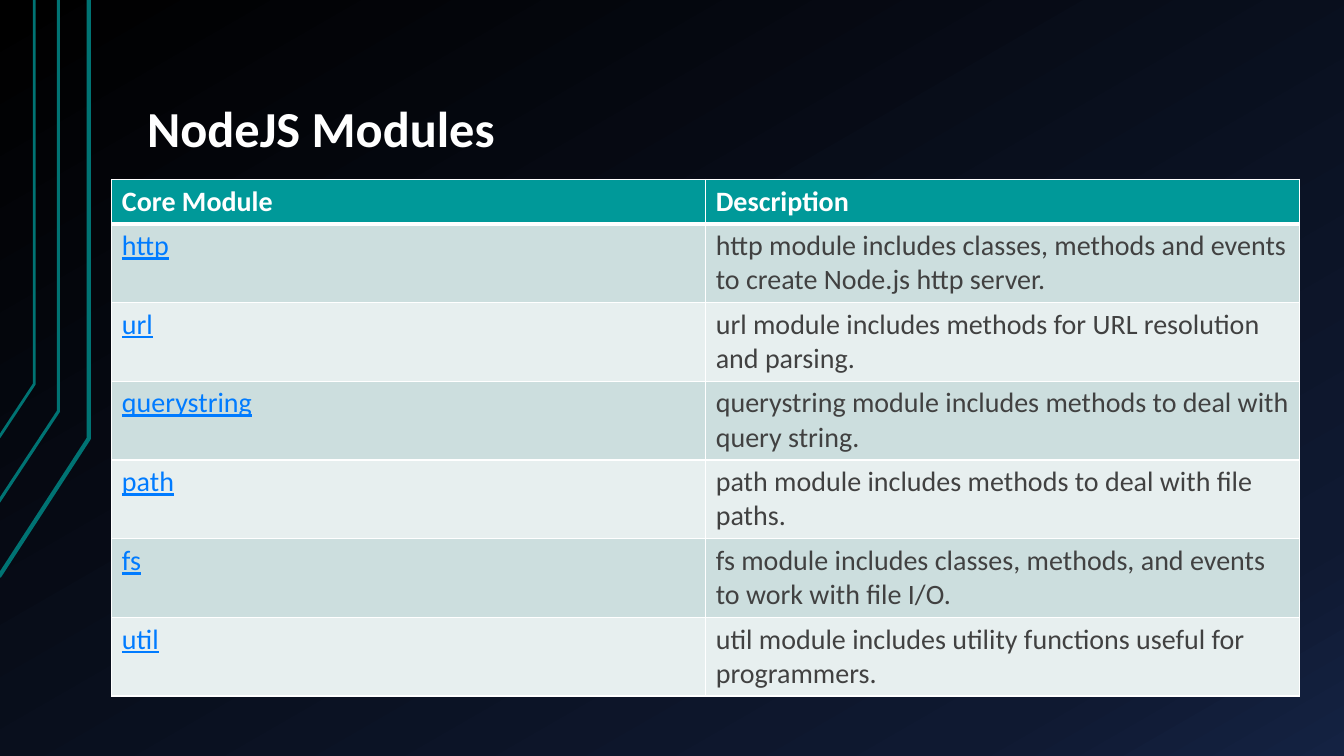
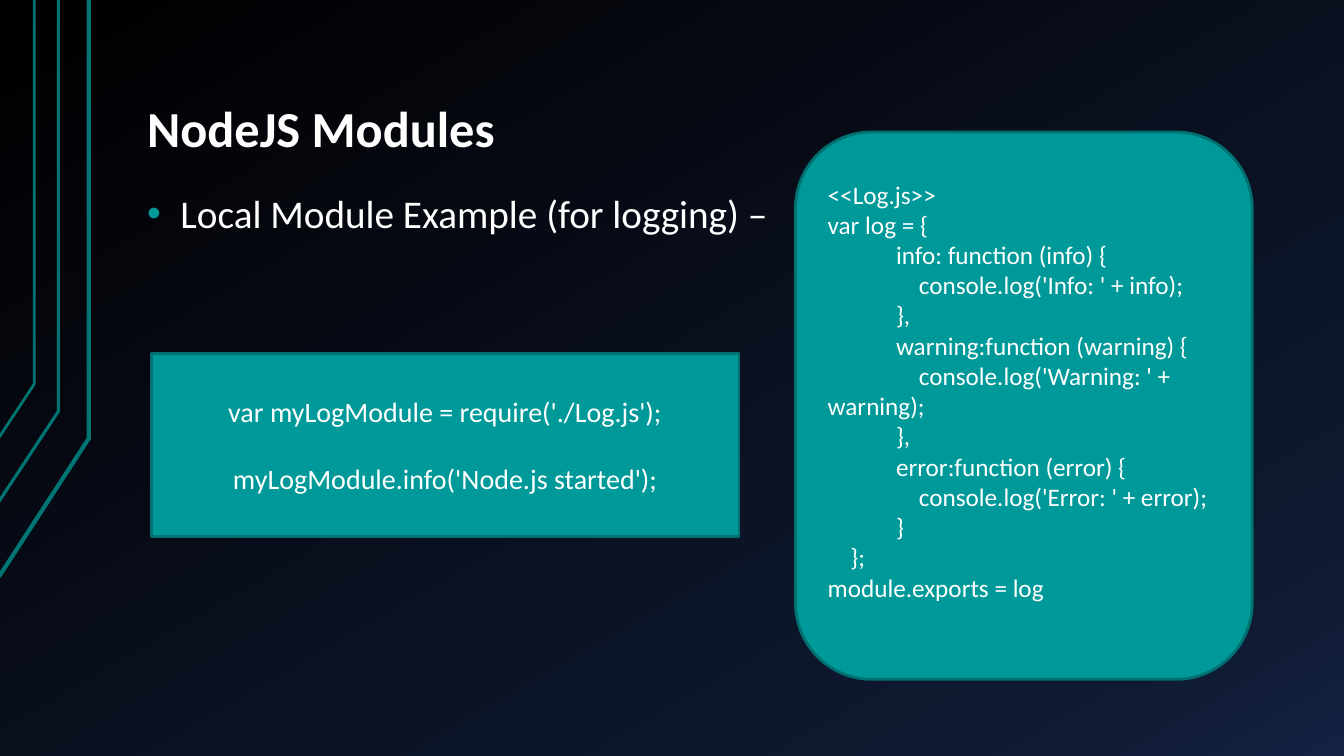
import copy
import pptx
import pptx.util
import pptx.dml.color
import pptx.enum.shapes
import pptx.enum.text
import pptx.oxml.ns
import lxml.etree

Inches, Pt = pptx.util.Inches, pptx.util.Pt
RGBColor = pptx.dml.color.RGBColor
PP_ALIGN = pptx.enum.text.PP_ALIGN
MSO_ANCHOR = pptx.enum.text.MSO_ANCHOR
MSO_SHAPE = pptx.enum.shapes.MSO_SHAPE
qn = pptx.oxml.ns.qn

FONT = "Calibri"
WHITE = RGBColor(0xFF, 0xFF, 0xFF)
TEAL = RGBColor(0x00, 0x99, 0x99)
TEAL_EDGE = RGBColor(0x00, 0x71, 0x71)
TEAL_RAIL = RGBColor(0x00, 0x73, 0x73)
ROW_DARK = RGBColor(0xCC, 0xDE, 0xDE)
ROW_LIGHT = RGBColor(0xE7, 0xEF, 0xEF)
LINK_BLUE = RGBColor(0x00, 0x7B, 0xFF)
CELL_GREY = RGBColor(0x41, 0x41, 0x41)
NIGHT = [
    (0, RGBColor(0x00, 0x00, 0x00)),
    (0.85, RGBColor(0x0F, 0x19, 0x31)),
    (1, RGBColor(0x14, 0x22, 0x42)),
]

RAILS = [
    (3, [(-0.01, 5.72), (0.88, 4.35), (0.88, 0)]),
    (2.25, [(-0.02, 4.99), (0.58, 4.08), (0.58, 0)]),
    (2, [(-0.01, 4.34), (0.34, 3.81), (0.34, 0)]),
]
TITLE = "NodeJS Modules"
TITLE_BOX = (1.33, 0.3, 11.33, 1.34)
HEADINGS = ("Core Module", "Description")
MODULES = [
    ("http", "http module includes classes, methods and events to create Node.js http server."),
    ("url", "url module includes methods for URL resolution and parsing."),
    ("querystring", "querystring module includes methods to deal with query string."),
    ("path", "path module includes methods to deal with file paths."),
    ("fs", "fs module includes classes, methods, and events to work with file I/O."),
    ("util", "util module includes utility functions useful for programmers."),
]
CODE_STEP = 0.226
LOG_CODE = [
    (0, "<<Log.js>>"),
    (0, "var log = {"),
    (3, "info: function (info) {"),
    (4, "console.log('Info: ' + info);"),
    (3, "},"),
    (3, "warning:function (warning) {"),
    (4, "console.log('Warning: ' + warning);"),
    (3, "},"),
    (3, "error:function (error) {"),
    (4, "console.log('Error: ' + error);"),
    (3, "}"),
    (1, "};"),
    (0, "module.exports = log"),
]
USAGE_CODE = [
    (0, "var myLogModule = require('./Log.js');"),
    (0, "myLogModule.info('Node.js started');"),
]


def format_runs(paragraph, size, color, bold=False, underline=False):
    """Give every run of the paragraph the deck font."""
    for run in paragraph.runs:
        font = run.font
        font.name, font.size, font.bold, font.underline = FONT, Pt(size), bold, underline
        font.color.rgb = color


def paint_background(master):
    """Fill the master with the diagonal night gradient."""
    fill = master.background.fill
    fill.gradient()
    fill.gradient_angle = 300
    stops = master.element.find(".//" + qn("a:gsLst"))
    stops.insert(1, copy.deepcopy(stops[0]))
    for stop, (position, color) in zip(fill.gradient_stops, NIGHT):
        stop.position = position
        stop.color.rgb = color


def draw_rails(slide, master):
    """Draw the bent side lines and move them behind the master's text."""
    for depth, (width, points) in enumerate(RAILS):
        start, *bends = [(Inches(x), Inches(y)) for x, y in points]
        builder = slide.shapes.build_freeform(*start)
        builder.add_line_segments(bends, close=False)
        rail = builder.convert_to_shape()
        rail.shadow.inherit = False
        rail.fill.background()
        rail.line.color.rgb = TEAL_RAIL
        rail.line.width = Pt(width)
        master.shapes.element.insert(2 + depth, rail.element)


def fill_placeholder(placeholder, box, text, size, anchor, bold=False):
    """Place a placeholder in the box and return its formatted paragraph."""
    placeholder.left, placeholder.top, placeholder.width, placeholder.height = map(Inches, box)
    frame = placeholder.text_frame
    frame.text = text
    frame.word_wrap = True
    frame.auto_size = pptx.enum.text.MSO_AUTO_SIZE.NONE
    frame.vertical_anchor = anchor
    frame.margin_left = frame.margin_right = Inches(0.13)
    frame.margin_top = frame.margin_bottom = Inches(0.07)
    paragraph = frame.paragraphs[0]
    paragraph.alignment = PP_ALIGN.LEFT
    paragraph.line_spacing = 0.9
    format_runs(paragraph, size, WHITE, bold)
    return paragraph


def add_titled_slide(deck, layout_index):
    """Add a slide with the shared title."""
    slide = deck.slides.add_slide(deck.slide_layouts[layout_index])
    fill_placeholder(slide.shapes.title, TITLE_BOX, TITLE, 36, MSO_ANCHOR.BOTTOM, bold=True)
    return slide


def add_bullet(slide, box, text):
    """Set the body placeholder to one teal-bulleted line."""
    paragraph = fill_placeholder(slide.placeholders[1], box, text, 28, MSO_ANCHOR.TOP)
    paragraph.space_before = Pt(16)
    properties = paragraph._p.get_or_add_pPr()
    properties.set("marL", str(Inches(0.33)))
    properties.set("indent", str(-Inches(0.33)))
    color = lxml.etree.SubElement(properties, qn("a:buClr"))
    lxml.etree.SubElement(color, qn("a:srgbClr"), val=str(TEAL))
    lxml.etree.SubElement(properties, qn("a:buFont"), typeface="Arial")
    lxml.etree.SubElement(properties, qn("a:buChar"), char="\u2022")


def add_cell_borders(cell, top, bottom):
    """Give a cell white borders, with its top and bottom widths in points."""
    properties = cell._tc.get_or_add_tcPr()
    for side, width in (("L", 1), ("R", 1), ("T", top), ("B", bottom)):
        line = lxml.etree.SubElement(properties, qn("a:ln" + side), w=str(Pt(width)))
        solid = lxml.etree.SubElement(line, qn("a:solidFill"))
        lxml.etree.SubElement(solid, qn("a:srgbClr"), val=str(WHITE))


def add_module_table(slide, box):
    """Fill the box with the table of core modules."""
    rows = [HEADINGS] + MODULES
    table = slide.shapes.add_table(len(rows), len(HEADINGS), *map(Inches, box)).table
    heading_height = 0.44
    module_height = (box[3] - heading_height) / len(MODULES)
    for index, texts in enumerate(rows):
        heading = index == 0
        table.rows[index].height = Inches(heading_height if heading else module_height)
        for column, text in enumerate(texts):
            cell = table.cell(index, column)
            cell.text = text
            add_cell_borders(cell, 3 if index == 1 else 1, 3 if heading else 1)
            cell.fill.solid()
            cell.fill.fore_color.rgb = TEAL if heading else ROW_DARK if index % 2 else ROW_LIGHT
            link = not heading and column == 0
            color = WHITE if heading else LINK_BLUE if link else CELL_GREY
            format_runs(cell.text_frame.paragraphs[0], 20, color, heading, link)


def add_code_panel(slide, box, outline, code, size, alignment, gap=0, bottom=0.05):
    """Fill the box with a teal panel of code lines, indented by depth."""
    panel = slide.shapes.add_shape(outline, *map(Inches, box))
    panel.shadow.inherit = False
    panel.fill.solid()
    panel.fill.fore_color.rgb = TEAL
    panel.line.color.rgb = TEAL_EDGE
    panel.line.width = Pt(2)
    frame = panel.text_frame
    frame.word_wrap = True
    frame.vertical_anchor = MSO_ANCHOR.MIDDLE
    frame.margin_bottom = Inches(bottom)
    frame.text = "\n".join(text for _, text in code)
    for index, (paragraph, (depth, _)) in enumerate(zip(frame.paragraphs, code)):
        paragraph.alignment = alignment
        paragraph.space_before = Pt(gap if index else 0)
        paragraph._p.get_or_add_pPr().set("indent", str(Inches(depth * CODE_STEP)))
        format_runs(paragraph, size, WHITE)


def build_core_modules(deck):
    """Build the slide that lists the core modules."""
    slide = add_titled_slide(deck, 5)
    add_module_table(slide, (1.11, 1.78, 11.78, 5.12))
    return slide


def build_local_module(deck):
    """Build the slide with the local logging module."""
    slide = add_titled_slide(deck, 1)
    add_bullet(slide, (1.33, 1.86, 6.43, 4.88), "Local Module Example (for logging) \u2013")
    add_code_panel(slide, (7.89, 1.31, 4.53, 5.43), MSO_SHAPE.ROUNDED_RECTANGLE,
                   LOG_CODE, 18, PP_ALIGN.LEFT, bottom=0.35)
    add_code_panel(slide, (1.5, 3.51, 5.83, 1.81), MSO_SHAPE.RECTANGLE,
                   USAGE_CODE, 20, PP_ALIGN.CENTER, gap=24)


def main():
    """Build and save the deck."""
    deck = pptx.Presentation()
    deck.slide_width, deck.slide_height = Inches(13.33), Inches(7.5)
    paint_background(deck.slide_master)
    core_modules = build_core_modules(deck)
    draw_rails(core_modules, deck.slide_master)
    build_local_module(deck)
    deck.save("out.pptx")


main()
